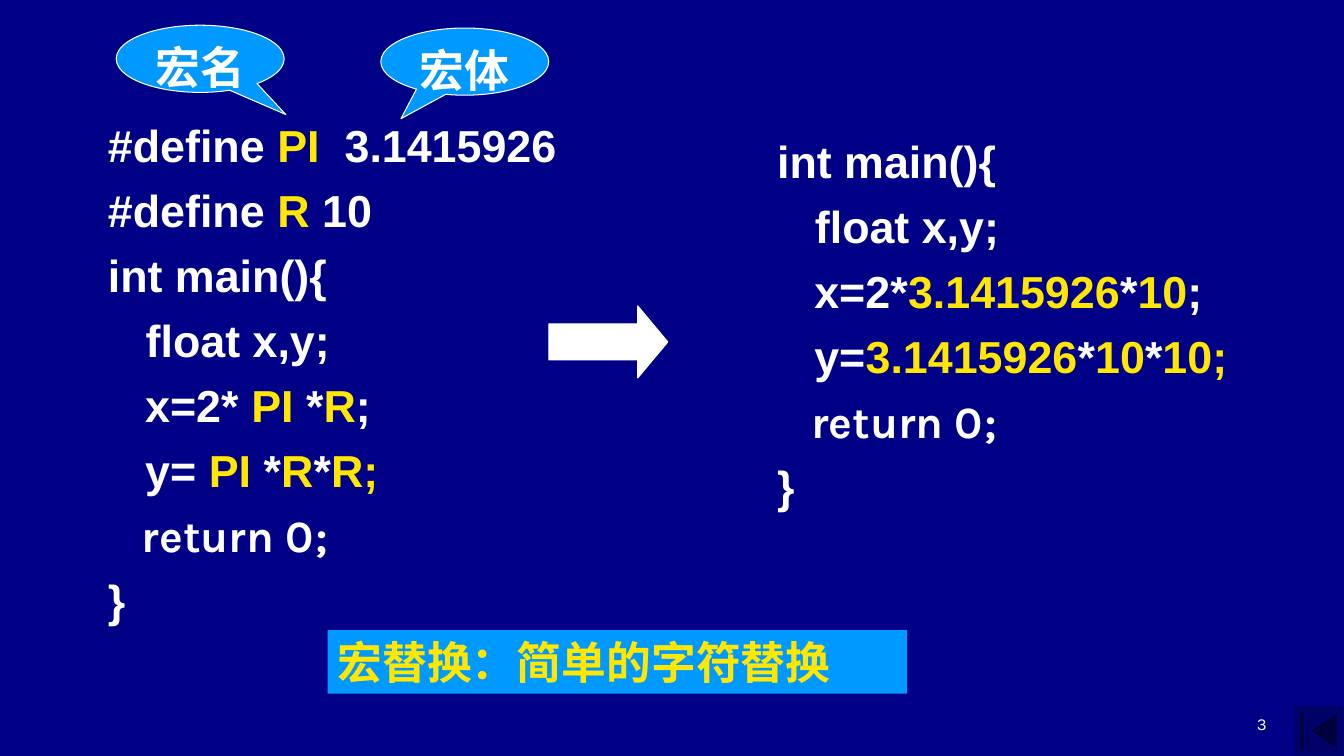
from pptx import Presentation
from pptx.dml.color import RGBColor
from pptx.enum.shapes import MSO_SHAPE as Shape
from pptx.enum.text import MSO_ANCHOR as Anchor, PP_ALIGN as Align
from pptx.util import Pt

NAVY, DARK, BLUE = "000086", "000065", "0099FF"
WHITE, YELLOW = "FFFFFF", "FFE701"

# Content: parts between bars are yellow
LEFT = [
    "#define |PI|  3.1415926",
    "#define |R| 10",
    "int main(){",
    "\tfloat x,y;",
    "   x=2* |PI| *|R|;",
    "   y= |PI| *|R|*|R;",
    "   return 0;",
    "}",
]
RIGHT = [
    "int main(){",
    "\tfloat x,y;",
    "   x=2*|3.1415926|*|10|;",
    "   y=|3.1415926|*|10|*|10;",
    "   return 0;",
    "}",
]
CODE = [(LEFT, (70, 76.5, 353, 371)), (RIGHT, (548, 88, 406, 275))]
CALLS = [
    ("宏名", (83, 18, 120, 48), (0.51, 0.83)),
    ("宏体", (272, 20, 120, 48), (-0.38, 0.85)),
]
RULE = "宏替换：简单的字符替换"
PAGE = "3"


def color(code):
    return RGBColor.from_string(code)


def style(run, **vals):
    base = {"name": "Karla", "size": Pt(32), "bold": True}
    tint = vals.pop("tint", WHITE)
    for key, val in {**base, **vals}.items():
        setattr(run.font, key, val)
    run.font.color.rgb = color(tint)


def draw(kind, box, fill, line=None, adj=()):
    item = slide.shapes.add_shape(kind, *map(Pt, box))
    item.shadow.inherit = False
    item.fill.solid()
    item.fill.fore_color.rgb = color(fill)
    if line:
        item.line.color.rgb = color(line)
        item.line.width = Pt(0.75)
    else:
        item.line.fill.background()
    for i, val in enumerate(adj):
        item.adjustments[i] = val
    return item


def label(item, text, align, anchor, **vals):
    frame = item.text_frame
    frame.word_wrap = True
    frame.vertical_anchor = anchor
    frame.margin_top = frame.margin_bottom = Pt(3.6)
    para = frame.paragraphs[0]
    para.alignment = align
    run = para.add_run()
    run.text = text
    style(run, **vals)


def code(lines, box):
    frame = slide.shapes.add_textbox(*map(Pt, box)).text_frame
    frame.word_wrap = True
    frame.margin_top = Pt(7.5)
    for i, line in enumerate(lines):
        para = frame.paragraphs[0] if i == 0 else frame.add_paragraph()
        para.space_before = Pt(8 if i else 0)
        props = para._p.get_or_add_pPr()
        props.set("marL", str(Pt(27)))
        props.set("indent", str(-Pt(27)))
        face = "Karla" if "return" in line else "Arial"
        for j, part in enumerate(line.split("|")):
            run = para.add_run()
            run.text = part
            style(run, name=face, tint=YELLOW if j % 2 else WHITE)


# Slide
deck = Presentation()
deck.slide_width, deck.slide_height = Pt(960), Pt(540)
slide = deck.slides.add_slide(deck.slide_layouts[6])
slide.background.fill.solid()
slide.background.fill.fore_color.rgb = color(NAVY)

# Button and page number
draw(Shape.ACTION_BUTTON_BEGINNING, (924, 504, 36, 36), DARK, NAVY)
page = slide.shapes.add_textbox(*map(Pt, (688, 492, 224, 36)))
label(page, PAGE, Align.RIGHT, Anchor.BOTTOM, size=Pt(12), bold=False)

# Code before and after, with the arrow between
for lines, box in CODE:
    code(lines, box)
draw(Shape.RIGHT_ARROW, (392, 218.5, 85, 51.5), WHITE, WHITE, (0.5, 0.417))

# Rule bar
bar = draw(Shape.RECTANGLE, (234, 450, 414, 45.5), BLUE)
label(bar, RULE, Align.LEFT, Anchor.MIDDLE, tint=YELLOW)

# Callouts
for text, box, tip in CALLS:
    call = draw(Shape.OVAL_CALLOUT, box, BLUE, WHITE, tip)
    label(call, text, Align.CENTER, Anchor.TOP)

deck.save("out.pptx")
